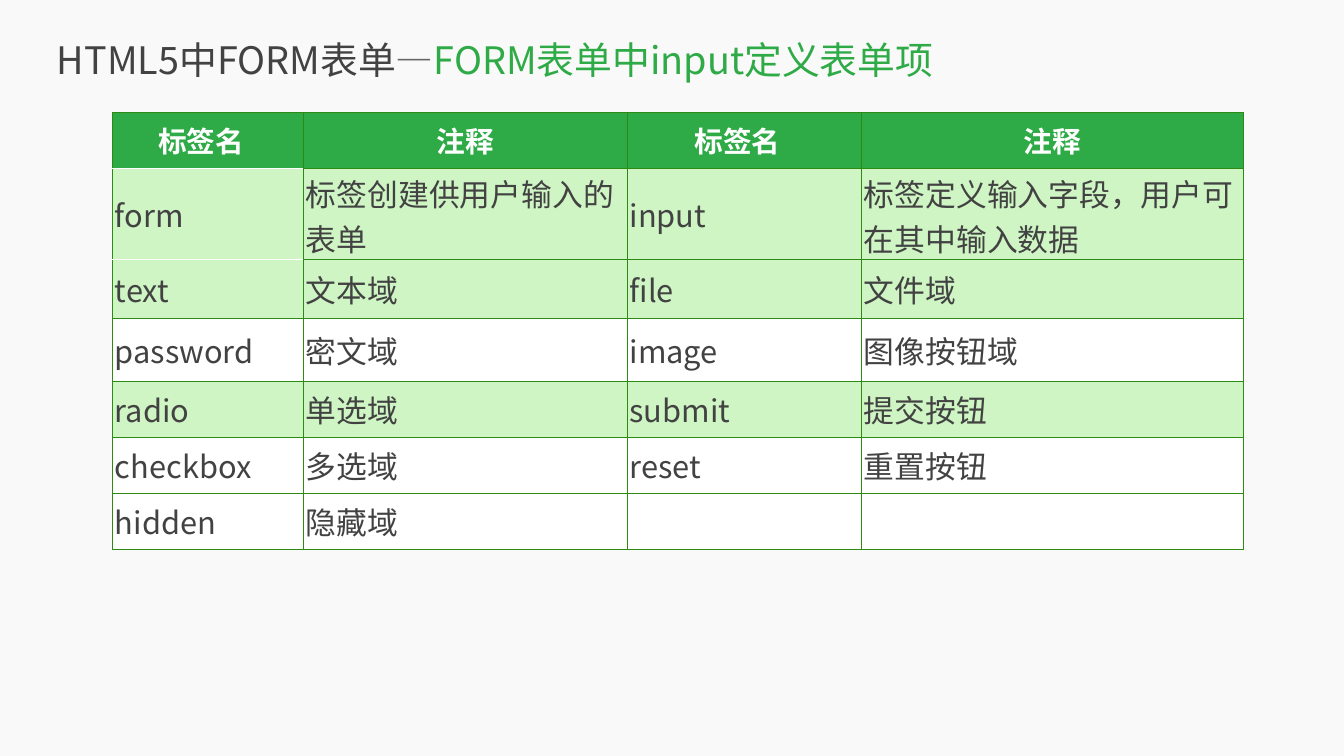
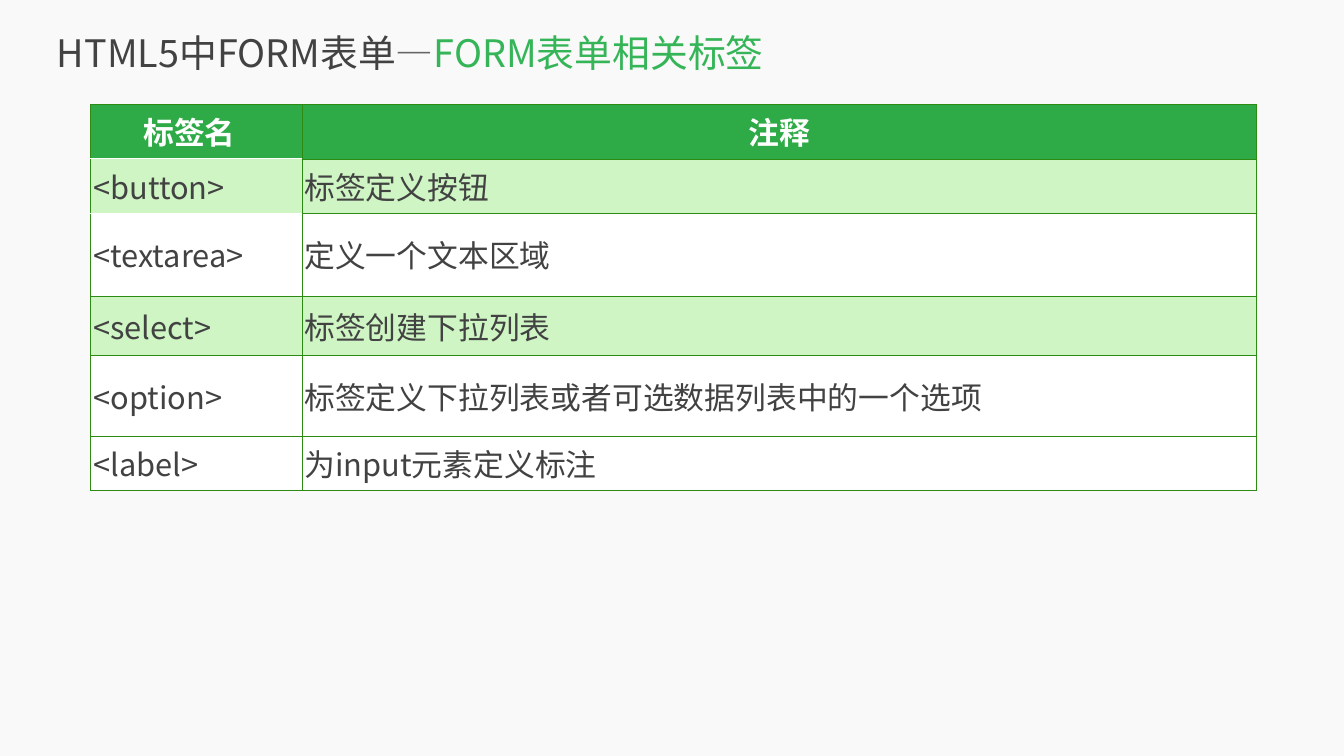
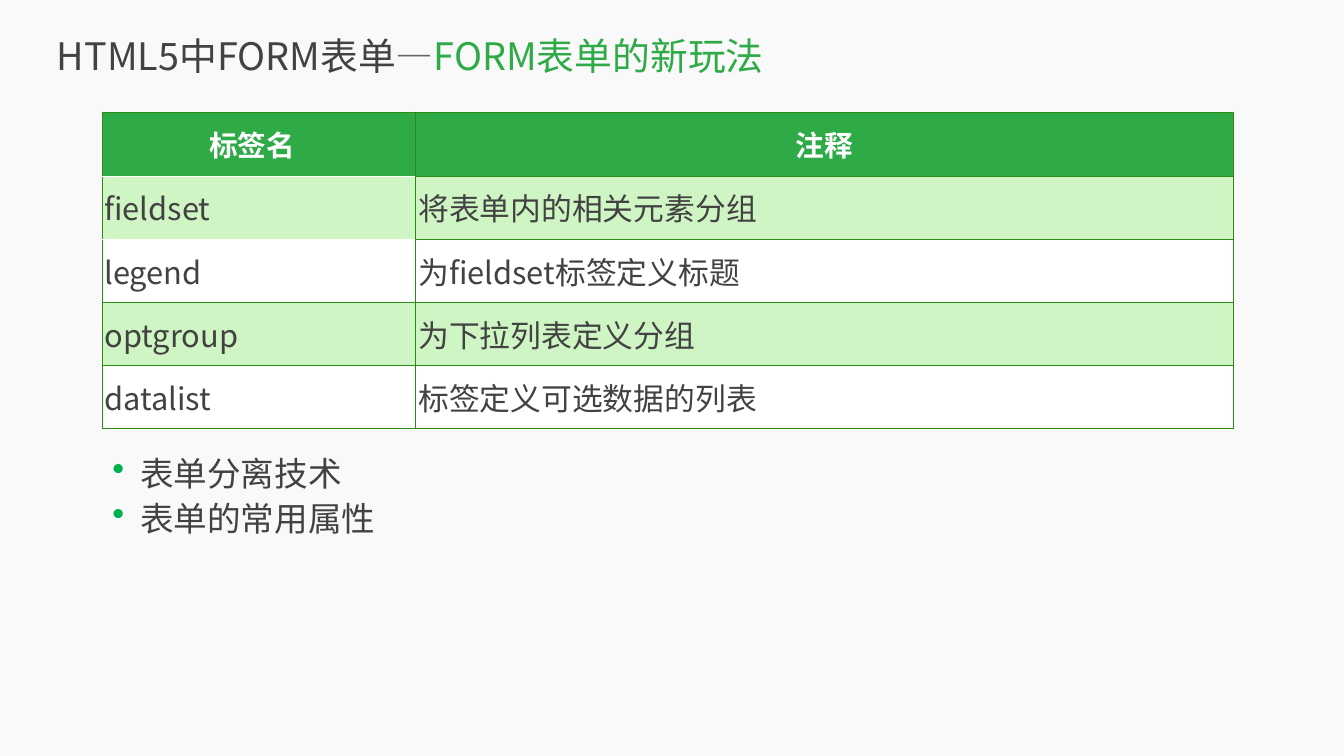
"""Build three slides on HTML5 form tags."""
from dataclasses import dataclass

from lxml.etree import SubElement as Sub
from pptx import Presentation
from pptx.dml.color import RGBColor as Rgb
from pptx.enum.text import MSO_ANCHOR as Anchor, PP_ALIGN as Align
from pptx.oxml.ns import qn
from pptx.util import Cm, Pt


@dataclass(frozen=True)
class Theme:
    """Colours, font and type sizes of the deck."""
    page: str = "F9F9F9"
    ink: str = "424242"
    dash: str = "666666"
    green: str = "2EAA46"
    light_green: str = "35B558"
    tint: str = "CEF5C3"
    white: str = "FFFFFF"
    rule: str = "2D8B13"
    bullet: str = "00B050"
    font: str = "Noto Sans CJK SC"
    title_size: int = 54
    list_size: int = 48
    cell_size: int = 44
    small_head_size: int = 41


THEME = Theme()
TOPIC = "HTML5中FORM表单"
TAG, NOTE = "标签名", "注释"


def set_font(paragraph, size, color, bold=False):
    """Set the paragraph font for Latin and East Asian text."""
    font = paragraph.font
    font.size, font.bold, font.name = Pt(size), bold, THEME.font
    font.color.rgb = Rgb.from_string(color)
    defaults = paragraph._p.pPr.find(qn("a:defRPr"))
    Sub(defaults, qn("a:ea"), typeface=THEME.font)


def hang(paragraph, indent, first):
    """Set the left indent and the first line offset."""
    props = paragraph._p.get_or_add_pPr()
    props.set("marL", str(Cm(indent)))
    props.set("indent", str(Cm(first)))
    return props


def add_frame(slide, box):
    """Add a wrapping text frame without insets."""
    frame = slide.shapes.add_textbox(*map(Cm, box)).text_frame
    frame.word_wrap = True
    frame.margin_left = frame.margin_right = 0
    frame.margin_top = frame.margin_bottom = 0
    return frame


def add_title(slide, box, subtitle, accent=THEME.green):
    """Write the shared topic and the coloured subtitle."""
    frame = add_frame(slide, box)
    frame.vertical_anchor = Anchor.MIDDLE
    line = frame.paragraphs[0]
    set_font(line, THEME.title_size, THEME.ink)
    for words, color in ((TOPIC, THEME.ink), ("—", THEME.dash), (subtitle, accent)):
        part = line.add_run()
        part.text = words
        part.font.color.rgb = Rgb.from_string(color)


def add_borders(cell, white_sides):
    """Draw green cell borders, white on the given sides."""
    props = cell._tc.get_or_add_tcPr()
    for side in "LRTB":
        white = side in white_sides
        edge = Sub(props, qn(f"a:ln{side}"), w=str(Pt(1 if white else 0.75)))
        fill = Sub(edge, qn("a:solidFill"))
        Sub(fill, qn("a:srgbClr"), val=THEME.white if white else THEME.rule)


def fill_cell(cell, words, fill, size, head):
    """Style one table cell and write its text."""
    cell.fill.solid()
    cell.fill.fore_color.rgb = Rgb.from_string(fill)
    cell.vertical_anchor = Anchor.MIDDLE
    cell.margin_left = cell.margin_right = Cm(0.13)
    cell.margin_top = cell.margin_bottom = Cm(0.13)
    if head and words == TAG:
        cell.margin_right = Cm(0.8)
    cell.text = words
    for line in cell.text_frame.paragraphs:
        hang(line, 0.97, -0.97)
        line.alignment = Align.CENTER if head else Align.LEFT
        set_font(line, size, THEME.white if head else THEME.ink, head)


def add_tag_table(slide, corner, widths, heights, rows, tinted, head_size):
    """Build the table of tags, tinting the given rows."""
    size = (sum(widths), sum(heights))
    table = slide.shapes.add_table(
        len(rows), len(widths), *map(Cm, (*corner, *size))).table
    table.horz_banding = False
    for column, width in zip(table.columns, widths):
        column.width = Cm(width)
    for row, height in zip(table.rows, heights):
        row.height = Cm(height)
    seams = {0: "B", 1: "TB", 2: "T"}
    for r, row in enumerate(rows):
        head = r == 0
        fill = THEME.green if head else THEME.tint if r in tinted else THEME.white
        for c, words in enumerate(row):
            cell = table.cell(r, c)
            add_borders(cell, seams.get(r, "") if c == 0 else "")
            fill_cell(cell, words, fill, head_size if head else THEME.cell_size, head)


def add_bullets(slide, box, items):
    """Write a list with green bullets."""
    frame = add_frame(slide, box)
    for i, item in enumerate(items):
        line = frame.add_paragraph() if i else frame.paragraphs[0]
        line.text = item
        line.line_spacing = 1.12
        props = hang(line, 1.93, -1.4)
        Sub(Sub(props, qn("a:buClr")), qn("a:srgbClr"), val=THEME.bullet)
        Sub(props, qn("a:buSzPct"), val="105000")
        Sub(props, qn("a:buChar"), char="•")
        set_font(line, THEME.list_size, THEME.ink)


def add_page(deck):
    """Add a blank slide with the shared background."""
    slide = deck.slides.add_slide(deck.slide_layouts[6])
    slide.background.fill.solid()
    slide.background.fill.fore_color.rgb = Rgb.from_string(THEME.page)
    return slide


def input_slide(deck):
    """List the input types."""
    slide = add_page(deck)
    add_title(slide, (2.87, 1.19, 63.91, 3.61), "FORM表单中input定义表单项")
    rows = [
        (TAG, NOTE, TAG, NOTE),
        ("form", "标签创建供用户输入的\n表单",
         "input", "标签定义输入字段，用户可\n在其中输入数据"),
        ("text", "文本域", "file", "文件域"),
        ("password", "密文域", "image", "图像按钮域"),
        ("radio", "单选域", "submit", "提交按钮"),
        ("checkbox", "多选域", "reset", "重置按钮"),
        ("hidden", "隐藏域", "", ""),
    ]
    add_tag_table(slide, (5.66, 5.64), (9.63, 16.31, 11.81, 19.23),
                  (2.84, 4.6, 2.97, 3.18, 2.82, 2.82, 2.82),
                  rows, {1, 2, 4}, THEME.small_head_size)


def related_slide(deck):
    """List the tags related to forms."""
    slide = add_page(deck)
    add_title(slide, (2.87, 1.19, 63.91, 2.9), "FORM表单相关标签", THEME.light_green)
    rows = [
        (TAG, NOTE),
        ("<button>", "标签定义按钮"),
        ("<textarea>", "定义一个文本区域"),
        ("<select>", "标签创建下拉列表"),
        ("<option>", "标签定义下拉列表或者可选数据列表中的一个选项"),
        ("<label>", "为input元素定义标注"),
    ]
    add_tag_table(slide, (4.57, 5.26), (10.64, 48.13),
                  (2.74, 2.74, 4.17, 3, 4.06, 2.74),
                  rows, {1, 3}, THEME.cell_size)


def new_ways_slide(deck):
    """List the newer form tags and two further topics."""
    slide = add_page(deck)
    add_title(slide, (2.87, 0.58, 63.91, 4.47), "FORM表单的新玩法")
    rows = [
        (TAG, NOTE),
        ("fieldset", "将表单内的相关元素分组"),
        ("legend", "为fieldset标签定义标题"),
        ("optgroup", "为下拉列表定义分组"),
        ("datalist", "标签定义可选数据的列表"),
    ]
    add_tag_table(slide, (5.13, 5.64), (15.82, 41.2), (3.23, *[3.18] * 4),
                  rows, {1, 3}, THEME.small_head_size)
    add_bullets(slide, (5.13, 22.58, 50.75, 5.33),
                ("表单分离技术", "表单的常用属性"))


def main():
    """Build and save the deck."""
    deck = Presentation()
    deck.slide_width, deck.slide_height = Cm(67.74), Cm(38.1)
    for build in (input_slide, related_slide, new_ways_slide):
        build(deck)
    deck.save("out.pptx")


if __name__ == "__main__":
    main()
